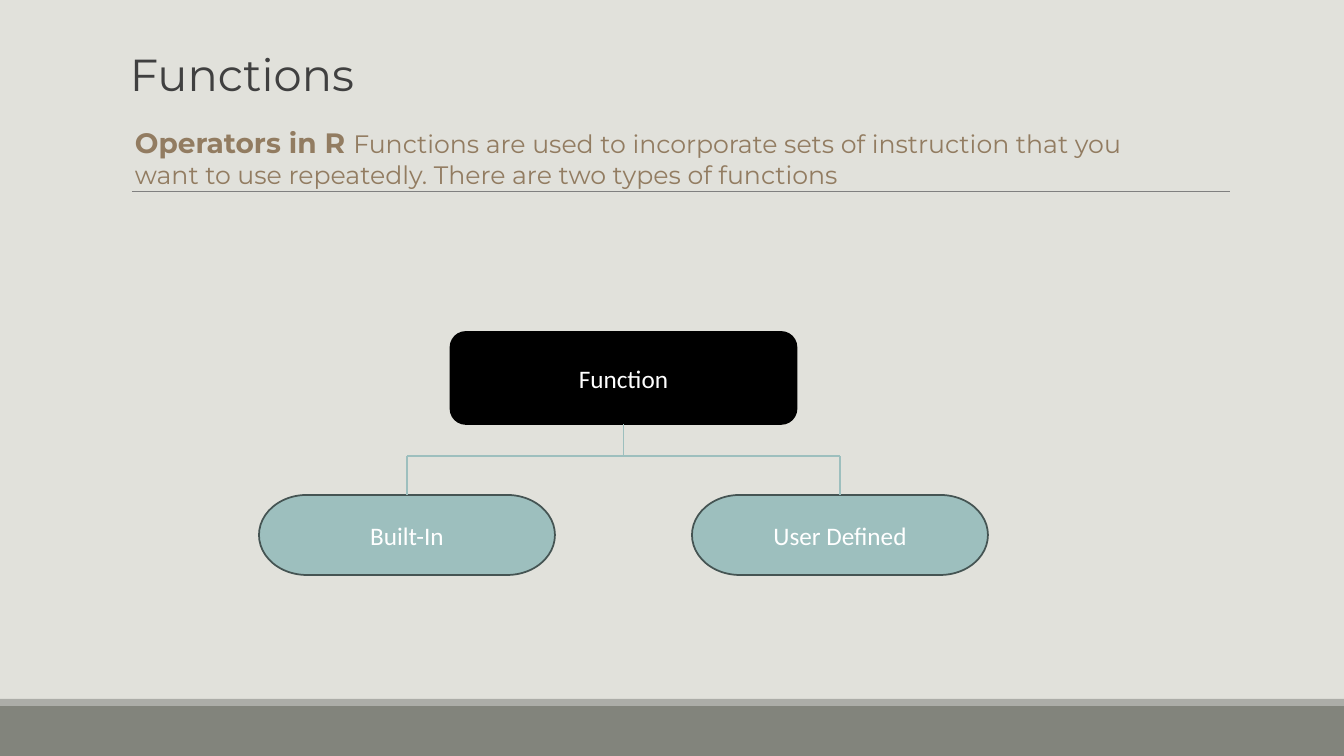
from pptx import Presentation
from pptx.dml.color import RGBColor
from pptx.enum.shapes import MSO_CONNECTOR, MSO_SHAPE
from pptx.enum.text import MSO_ANCHOR, PP_ALIGN
from pptx.oxml.ns import qn
from pptx.util import Emu, Pt
from lxml import etree

PX = 914400 / 100.8
PAGE_WIDTH, PAGE_HEIGHT = 1344, 756

RECTANGLE = MSO_SHAPE.RECTANGLE
ROUNDED = MSO_SHAPE.ROUNDED_RECTANGLE
TERMINATOR = MSO_SHAPE.FLOWCHART_TERMINATOR
STRAIGHT = MSO_CONNECTOR.STRAIGHT
CENTER, LEFT = PP_ALIGN.CENTER, PP_ALIGN.LEFT
MIDDLE = MSO_ANCHOR.MIDDLE
TOP_SIDE, BOTTOM_SIDE = 0, 2

PAPER = RGBColor(0xE1, 0xE1, 0xDB)
BAND = RGBColor(0x82, 0x84, 0x7C)
BAND_EDGE = RGBColor(0xAC, 0xAD, 0xA8)
RULE = RGBColor(0x80, 0x80, 0x80)
TITLE_INK = RGBColor(0x40, 0x40, 0x40)
INTRO_INK = RGBColor(0x92, 0x7C, 0x61)
BLACK = RGBColor(0, 0, 0)
WHITE = RGBColor(0xFF, 0xFF, 0xFF)
TEAL = RGBColor(0x9D, 0xBF, 0xBE)
TEAL_DARK = RGBColor(0x45, 0x54, 0x53)

HEADING_FONT, NODE_FONT = "Montserrat", "Calibri"


def emu(*lengths):
    return [Emu(round(length * PX)) for length in lengths]


def add_text(para, text, size, color, font, bold=False, align=LEFT):
    para.alignment = align
    span = para.add_run()
    span.text = text
    span.font.size = Pt(size)
    span.font.name = font
    span.font.bold = bold
    span.font.color.rgb = color


def add_box(page, kind, left, top, width, height, fill, line=None):
    box = page.shapes.add_shape(kind, *emu(left, top, width, height))
    box.shadow.inherit = False
    box.fill.solid()
    box.fill.fore_color.rgb = fill
    if line is None:
        box.line.fill.background()
    else:
        box.line.color.rgb = line
        box.line.width = Pt(1.25)
    return box


def add_line(page, start, end, color, weight):
    line = page.shapes.add_connector(STRAIGHT, *emu(*start, *end))
    line.line.color.rgb = color
    line.line.width = Pt(weight)
    etree.SubElement(line._element.spPr, qn("a:effectLst"))
    return line


def add_node(page, kind, left, top, width, height, text, fill, line):
    node = add_box(page, kind, left, top, width, height, fill, line)
    node.text_frame.vertical_anchor = MIDDLE
    node.text_frame.word_wrap = True
    add_text(node.text_frame.paragraphs[0], text, 18, WHITE, NODE_FONT, align=CENTER)
    return node


def draw_backdrop(page):
    page.background.fill.solid()
    page.background.fill.fore_color.rgb = PAPER
    band_height, edge_height = 50, 7
    band_top = PAGE_HEIGHT - band_height
    add_box(page, RECTANGLE, 0, band_top, PAGE_WIDTH, band_height, BAND)
    add_box(page, RECTANGLE, 0, band_top - edge_height, PAGE_WIDTH, edge_height, BAND_EDGE)
    add_line(page, (132, 191), (1230, 191), RULE, 0.5)


def draw_title(page, left, top, width, height):
    title = page.shapes.title
    title.left, title.top, title.width, title.height = emu(left, top, width, height)
    title.text_frame.vertical_anchor = MIDDLE
    para = title.text_frame.paragraphs[0]
    para.line_spacing = 0.9
    add_text(para, "Functions", 32, TITLE_INK, HEADING_FONT, align=CENTER)


def draw_intro(page, left, top, width, height):
    box = page.shapes.add_textbox(*emu(left, top, width, height))
    box.text_frame.word_wrap = True
    para = box.text_frame.paragraphs[0]
    add_text(para, "Operators in R ", 20, INTRO_INK, HEADING_FONT, bold=True)
    add_text(para, "Functions are used to incorporate sets of instruction that you "
             "want to use repeatedly. There are two types of functions",
             18, INTRO_INK, HEADING_FONT)


def draw_tree(page, left, top, width, height):
    root_width, root_height = 346, 92
    leaf_width, leaf_height = 296, 80
    middle = left + width / 2
    bus = top + root_height + 32
    leaf_top = top + height - leaf_height

    # Nodes
    root = add_node(page, ROUNDED, middle - root_width / 2, top, root_width, root_height,
                    "Function", BLACK, BLACK)
    leaves = [
        add_node(page, TERMINATOR, leaf_left, leaf_top, leaf_width, leaf_height,
                 text, TEAL, TEAL_DARK)
        for leaf_left, text in ((left, "Built-In"),
                                (left + width - leaf_width, "User Defined"))
    ]

    # Branches
    centers = (left + leaf_width / 2, left + width - leaf_width / 2)
    for leaf, center in zip(leaves, centers):
        branch = add_line(page, (center, leaf_top), (center, bus), TEAL, 1)
        branch.begin_connect(leaf, TOP_SIDE)
    add_line(page, (centers[0], bus), (centers[1], bus), TEAL, 1)
    trunk = add_line(page, (middle, top + root_height), (middle, bus), TEAL, 1)
    trunk.begin_connect(root, BOTTOM_SIDE)


def main():
    deck = Presentation()
    deck.slide_width, deck.slide_height = emu(PAGE_WIDTH, PAGE_HEIGHT)
    page = deck.slides.add_slide(deck.slide_layouts.get_by_name("Title Only"))
    draw_backdrop(page)
    draw_title(page, 35, 37, 414, 80)
    draw_tree(page, 259, 332, 729, 243)
    draw_intro(page, 125, 121, 1051, 109)
    deck.save("out.pptx")


if __name__ == "__main__":
    main()
